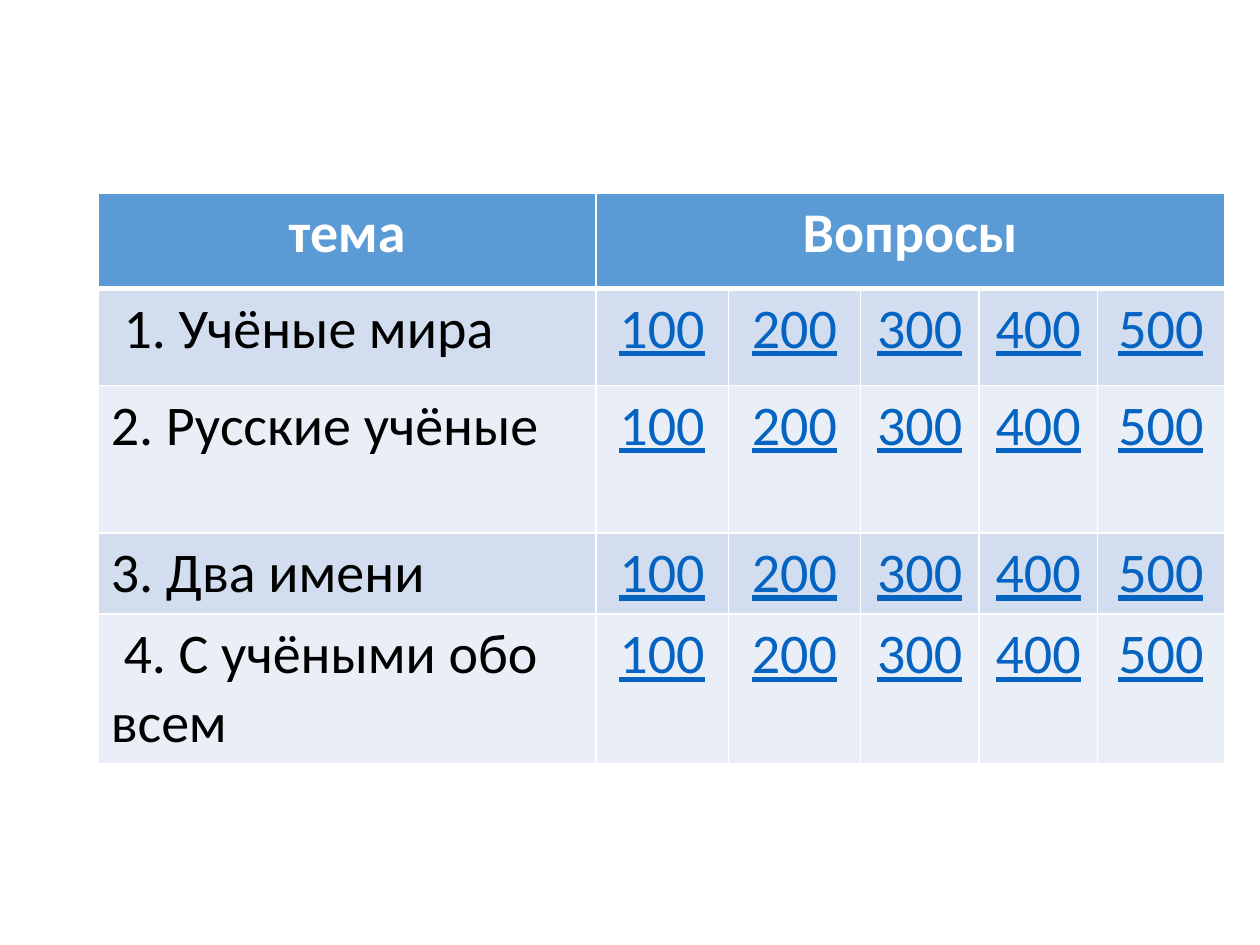
from lxml import etree
from pptx import Presentation
from pptx.dml.color import RGBColor
from pptx.enum import text
from pptx.oxml import ns
from pptx.util import Inches, Pt

WHITE = RGBColor(0xFF, 0xFF, 0xFF)
BLACK = RGBColor(0, 0, 0)
HEADER_BLUE = RGBColor(0x5B, 0x9B, 0xD5)
LINK_BLUE = RGBColor(0x05, 0x63, 0xC1)
BANDS = [RGBColor(0xD2, 0xDE, 0xEF), RGBColor(0xEA, 0xEF, 0xF7)]


def add_border(cell, side, width):
    line = etree.SubElement(cell._tc.get_or_add_tcPr(), ns.qn(f"a:{side}"), w=str(Pt(width)))
    fill = etree.SubElement(line, ns.qn("a:solidFill"))
    etree.SubElement(fill, ns.qn("a:srgbClr"), val=str(WHITE))


def write(cell, words, color, centered=True, bold=False, underline=False):
    paragraph = cell.text_frame.paragraphs[0]
    paragraph.alignment = text.PP_ALIGN.CENTER if centered else text.PP_ALIGN.LEFT
    run = paragraph.add_run()
    run.text = words
    run.font.name = "Calibri"
    run.font.size = Pt(32)
    run.font.bold = bold
    run.font.underline = underline
    run.font.color.rgb = color


presentation = Presentation()
presentation.slide_width = Inches(10)
presentation.slide_height = Inches(7.5)
slide = presentation.slides.add_slide(presentation.slide_layouts[6])

topics = [" 1. Учёные мира", "2. Русские учёные", "3. Два имени", " 4. С учёными обо всем"]
points = ["100", "200", "300", "400", "500"]
widths = [3.95, 1.05, 1.05, 0.94, 0.94, 1.01]
heights = [0.76, 0.77, 1.17, 0.64, 1.17]

board = slide.shapes.add_table(
    len(heights), len(widths), Inches(0.78), Inches(1.53), Inches(sum(widths)), Inches(sum(heights))
).table
for column, width in zip(board.columns, widths):
    column.width = Inches(width)
for row, height in zip(board.rows, heights):
    row.height = Inches(height)

for row_index, row in enumerate(board.rows):
    for cell in row.cells:
        add_border(cell, "lnL", 1)
        add_border(cell, "lnR", 1)
        add_border(cell, "lnT", 3 if row_index == 1 else 1)
        add_border(cell, "lnB", 3 if row_index == 0 else 1)
        cell.fill.solid()
        cell.fill.fore_color.rgb = BANDS[(row_index - 1) % 2] if row_index else HEADER_BLUE

board.cell(0, 1).merge(board.cell(0, 5))
write(board.cell(0, 0), "тема", WHITE, bold=True)
write(board.cell(0, 1), "Вопросы", WHITE, bold=True)

for row_index, topic in enumerate(topics, 1):
    write(board.cell(row_index, 0), topic, BLACK, centered=False)
    for column_index, value in enumerate(points, 1):
        write(board.cell(row_index, column_index), value, LINK_BLUE, underline=True)

presentation.save("out.pptx")
